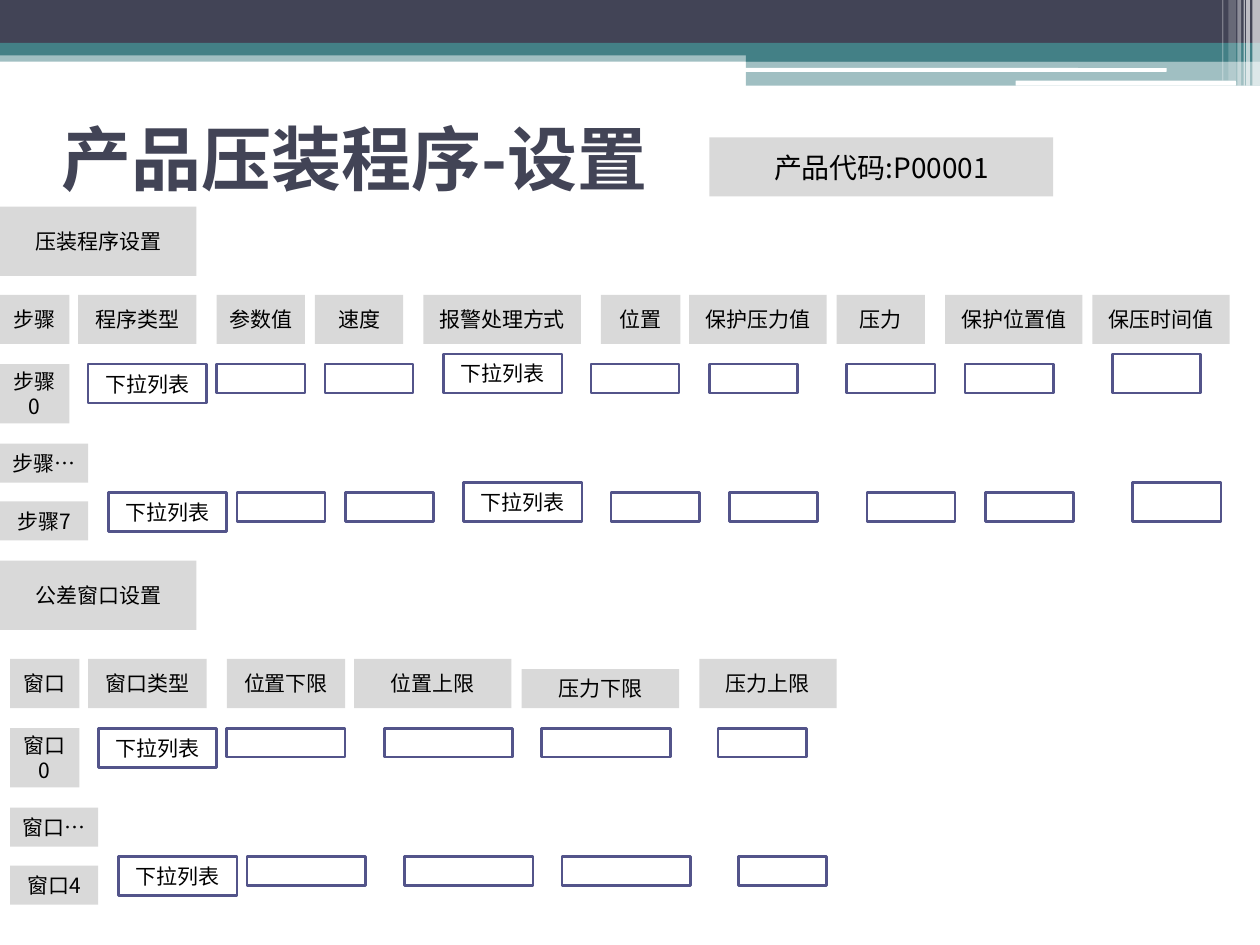
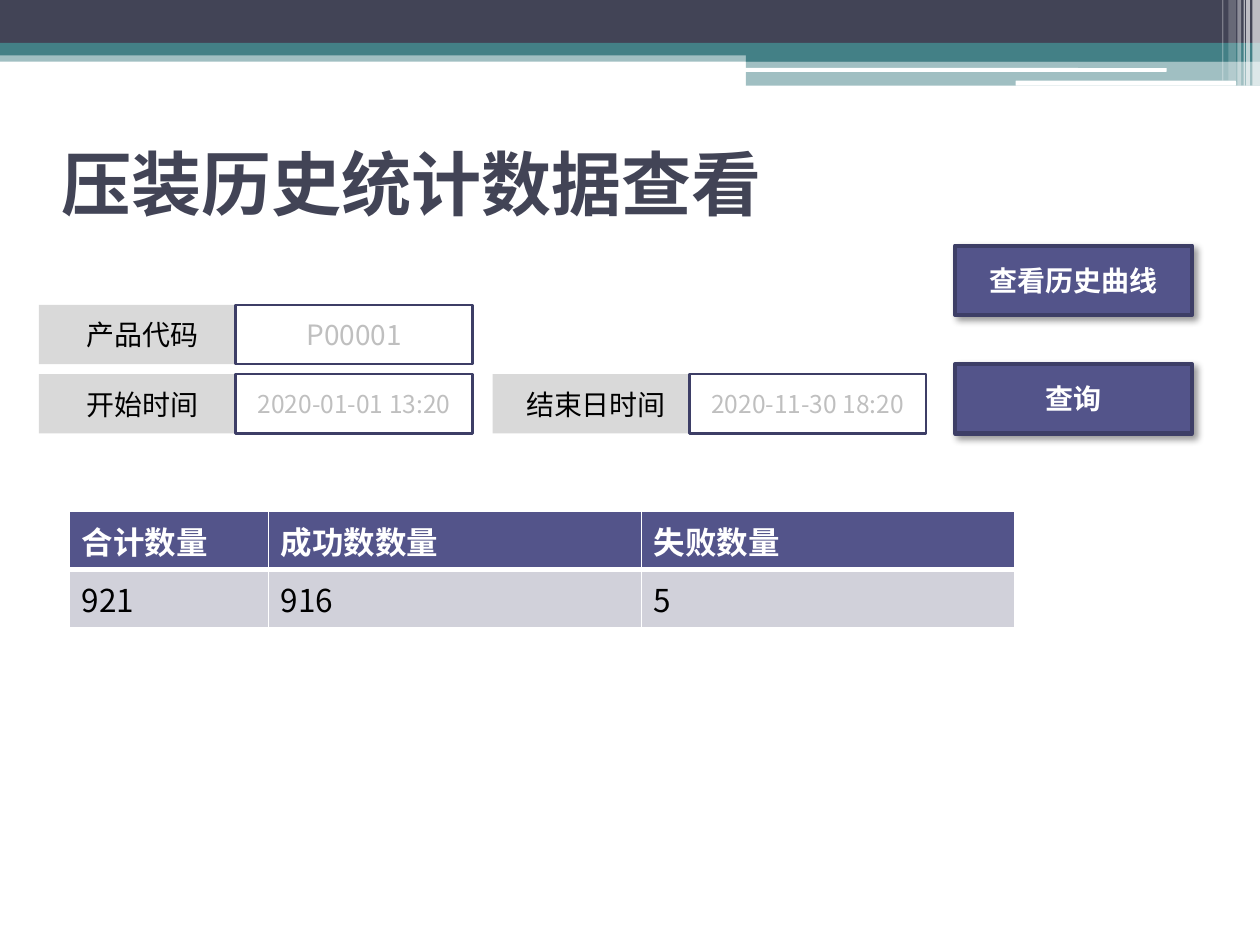
import pptx
import pptx.dml.color
import pptx.enum.shapes
import pptx.enum.text
import pptx.oxml
import pptx.oxml.ns
import pptx.util
from pptx.util import Inches

RGB = pptx.dml.color.RGBColor
SHAPE = pptx.enum.shapes.MSO_SHAPE
ALIGN = pptx.enum.text.PP_ALIGN
MIDDLE = pptx.enum.text.MSO_ANCHOR.MIDDLE
qn = pptx.oxml.ns.qn

SLATE = RGB(0x42, 0x44, 0x56)
TEAL = RGB(0x43, 0x80, 0x86)
INDIGO = RGB(0x53, 0x54, 0x8A)
DARK_INDIGO = RGB(0x3D, 0x3E, 0x66)
PALE_INDIGO = RGB(0xD1, 0xD1, 0xDA)
LABEL_GREY = RGB(0xD9, 0xD9, 0xD9)
HINT_GREY = RGB(0xBF, 0xBF, 0xBF)
WHITE = RGB(0xFF, 0xFF, 0xFF)
BLACK = RGB(0, 0, 0)

SANS = "Noto Sans CJK SC"
SERIF = "TeX Gyre Schola"
DROPDOWN = "下拉列表"

# (left, top, width, height), colour, opacity in percent, rounded
BANDS = [
    ((0, 0.4, 10, 0.09), TEAL, 50, False),
    ((0, 0, 10, 0.34), SLATE, 100, False),
    ((0, 0.34, 10, 0.1), TEAL, 100, False),
    ((5.92, 0.39, 4.08, 0.1), TEAL, 100, False),
    ((5.92, 0.48, 4.08, 0.2), TEAL, 50, False),
    ((5.91, 0.54, 3.35, 0.03), WHITE, 100, True),
    ((8.06, 0.64, 1.75, 0.04), WHITE, 100, True),
    ((9.94, 0, 0.06, 0.68), WHITE, 65, False),
    ((9.89, 0, 0.03, 0.68), WHITE, 65, False),
    ((9.87, 0, 0.01, 0.68), WHITE, 60, False),
    ((9.82, 0, 0.03, 0.68), WHITE, 40, False),
    ((9.75, 0, 0.06, 0.64), WHITE, 20, False),
    ((9.7, 0, 0.01, 0.64), WHITE, 30, False),
]

# headings: text, left, width, height
# fields: text, left, width, height
SECTIONS = [
    {
        "title": "压装程序设置", "title_top": 1.64,
        "left": 0, "top": 2.34,
        "rows": ["步骤", "步骤0", "步骤…", "步骤7"],
        "headings": [
            ("程序类型", 0.62, 0.94, 0.39), ("参数值", 1.72, 0.7, 0.39),
            ("速度", 2.5, 0.7, 0.39), ("报警处理方式", 3.36, 1.25, 0.39),
            ("位置", 4.77, 0.63, 0.39), ("保护压力值", 5.47, 1.09, 0.39),
            ("压力", 6.64, 0.7, 0.39), ("保护位置值", 7.5, 1.09, 0.39),
            ("保压时间值", 8.67, 1.09, 0.39),
        ],
        "fields": [
            (DROPDOWN, 0.7, 0.94, 0.31), ("", 1.72, 0.7, 0.23),
            ("", 2.58, 0.7, 0.23), (DROPDOWN, 3.52, 0.94, 0.31),
            ("", 4.69, 0.7, 0.23), ("", 5.63, 0.7, 0.23),
            ("", 6.72, 0.7, 0.23), ("", 7.66, 0.7, 0.23),
            ("", 8.83, 0.7, 0.31),
        ],
    },
    {
        "title": "公差窗口设置", "title_top": 4.45,
        "left": 0.08, "top": 5.23,
        "rows": ["窗口", "窗口0", "窗口…", "窗口4"],
        "headings": [
            ("窗口类型", 0.7, 0.94, 0.39), ("位置下限", 1.8, 0.94, 0.39),
            ("位置上限", 2.81, 1.25, 0.39), ("压力下限", 4.14, 1.25, 0.31),
            ("压力上限", 5.55, 1.09, 0.39),
        ],
        "fields": [
            (DROPDOWN, 0.78, 0.94, 0.31), ("", 1.8, 0.94, 0.23),
            ("", 3.05, 1.02, 0.23), ("", 4.3, 1.02, 0.23),
            ("", 5.7, 0.7, 0.23),
        ],
    },
]
ROW_LABELS = [(0, 0.55, 0.39), (0.55, 0.55, 0.47),
              (1.18, 0.7, 0.31), (1.64, 0.7, 0.31)]  # offset, width, height
FIELD_ROWS = [(0, 0.55), (0.16, 1.57)]  # shift right, offset below headings
HEADING_HEIGHT = 0.39
FIELD_HEIGHT = 0.23

# label, value, left, top, value size
FILTERS = [
    ("产品代码", "P00001", 0.31, 2.42, 16),
    ("开始时间", "2020-01-01 13:20", 0.31, 2.97, 14),
    ("结束日时间", "2020-11-30 18:20", 3.91, 2.97, 14),
]
BUTTONS = [("查看历史曲线", 1.95), ("查询", 2.89)]
TOTALS = [["合计数量", "成功数数量", "失败数量"], ["921", "916", "5"]]
TOTAL_WIDTHS = [1.58, 2.96, 2.96]
TOTAL_ROW_HEIGHT = 0.46


def format_text(frame, size, color, bold=False, align=ALIGN.CENTER, font=SANS):
    for paragraph in frame.paragraphs:
        paragraph.alignment = align
        paragraph.font.size = pptx.util.Pt(size)
        paragraph.font.bold = bold
        paragraph.font.color.rgb = color
        paragraph.font.name = font
        latin = paragraph._p.find(".//" + qn("a:latin"))
        latin.addnext(pptx.oxml.parse_xml(
            f'<a:ea {pptx.oxml.ns.nsdecls("a")} typeface="{SANS}"/>'))


def add_box(slide, box, fill, line=None, line_width=1.5, kind=SHAPE.RECTANGLE):
    shape = slide.shapes.add_shape(kind, *map(Inches, box))
    shape.shadow.inherit = False
    shape.fill.solid()
    shape.fill.fore_color.rgb = fill
    if line is None:
        shape.line.fill.background()
    else:
        shape.line.color.rgb = line
        shape.line.width = pptx.util.Pt(line_width)
    return shape


def add_text_box(slide, text, box, size, fill=LABEL_GREY, color=BLACK,
                 line=None, line_width=1.5, bold=False, font=SANS):
    shape = add_box(slide, box, fill, line, line_width)
    if text:
        frame = shape.text_frame
        frame.text = text
        frame.word_wrap = True
        frame.vertical_anchor = MIDDLE
        format_text(frame, size, color, bold, font=font)
    return shape


def add_titled_slide(deck, title, title_height):
    slide = deck.slides.add_slide(deck.slide_layouts[5])
    for box, color, opacity, rounded in BANDS:
        kind = SHAPE.ROUNDED_RECTANGLE if rounded else SHAPE.RECTANGLE
        band = add_box(slide, box, color, kind=kind)
        if opacity < 100:
            band._element.find(".//" + qn("a:srgbClr")).append(
                pptx.oxml.parse_xml(f'<a:alpha {pptx.oxml.ns.nsdecls("a")} '
                                    f'val="{opacity * 1000}"/>'))
    heading = slide.shapes.title
    heading.left, heading.top = Inches(0.39), Inches(0.86)
    heading.width, heading.height = Inches(9), Inches(title_height)
    heading.text_frame.text = title
    heading.text_frame.vertical_anchor = MIDDLE
    format_text(heading.text_frame, 40, SLATE, True, ALIGN.LEFT)
    return slide


def add_section(slide, section):
    left, top = section["left"], section["top"]
    add_text_box(slide, section["title"],
                 (0, section["title_top"], 1.56, 0.55), 12)
    for text, (offset, width, height) in zip(section["rows"], ROW_LABELS):
        add_text_box(slide, text, (left, top + offset, width, height), 12)
    for text, x, width, height in section["headings"]:
        y = top + HEADING_HEIGHT - height
        add_text_box(slide, text, (x, y, width, height), 12)
    for shift, offset in FIELD_ROWS:
        for column, (text, x, width, height) in enumerate(section["fields"]):
            # The first field hangs from the row top; the rest share a bottom.
            rise = height - FIELD_HEIGHT if column else 0
            add_text_box(slide, text,
                         (x + shift, top + offset - rise, width, height), 12,
                         fill=WHITE, line=INDIGO, font=SERIF)


def add_button(slide, text, top):
    button = add_text_box(slide, text, (7.58, top, 1.88, 0.55), 16, fill=INDIGO,
                          color=WHITE, line=DARK_INDIGO, line_width=2.5,
                          bold=True)
    button._element.spPr.find(qn("a:effectLst")).append(pptx.oxml.parse_xml(
        f'<a:outerShdw {pptx.oxml.ns.nsdecls("a")} blurRad="50800" dist="38100" '
        'dir="2700000" algn="tl" rotWithShape="0"><a:srgbClr val="000000">'
        '<a:alpha val="40000"/></a:srgbClr></a:outerShdw>'))


def set_borders(cell, bottom_width):
    properties = cell._tc.get_or_add_tcPr()
    widths = {"lnL": 1, "lnR": 1, "lnT": 1, "lnB": bottom_width}
    for position, (side, width) in enumerate(widths.items()):
        properties.insert(position, pptx.oxml.parse_xml(
            f'<a:{side} {pptx.oxml.ns.nsdecls("a")} w="{pptx.util.Pt(width)}">'
            f'<a:solidFill><a:srgbClr val="{WHITE}"/></a:solidFill></a:{side}>'))


def add_totals(slide):
    table = slide.shapes.add_table(
        len(TOTALS), len(TOTAL_WIDTHS), Inches(0.55), Inches(4.06),
        Inches(sum(TOTAL_WIDTHS)), Inches(TOTAL_ROW_HEIGHT * len(TOTALS))).table
    for column, width in zip(table.columns, TOTAL_WIDTHS):
        column.width = Inches(width)
    for r, values in enumerate(TOTALS):
        is_header = r == 0
        for c, value in enumerate(values):
            cell = table.cell(r, c)
            cell.text = value
            cell.fill.solid()
            cell.fill.fore_color.rgb = INDIGO if is_header else PALE_INDIGO
            format_text(cell.text_frame, 18, WHITE if is_header else BLACK,
                        is_header, ALIGN.LEFT)
            set_borders(cell, 3 if is_header else 1)


def build_settings(deck):
    slide = add_titled_slide(deck, "产品压装程序-设置", 0.78)
    add_text_box(slide, "产品代码:P00001", (5.63, 1.09, 2.73, 0.47), 16)
    for section in SECTIONS:
        add_section(slide, section)


def build_history(deck):
    slide = add_titled_slide(deck, "压装历史统计数据查看", 1.17)
    for label, value, left, top, size in FILTERS:
        add_text_box(slide, label, (left, top, 1.64, 0.47), 16)
        add_text_box(slide, value, (left + 1.56, top, 1.88, 0.47), size,
                     fill=WHITE, color=HINT_GREY, line=DARK_INDIGO)
    for text, top in BUTTONS:
        add_button(slide, text, top)
    add_totals(slide)


def main():
    deck = pptx.Presentation()
    deck.slide_width, deck.slide_height = Inches(10), Inches(7.5)
    build_settings(deck)
    build_history(deck)
    deck.save("out.pptx")


if __name__ == "__main__":
    main()
